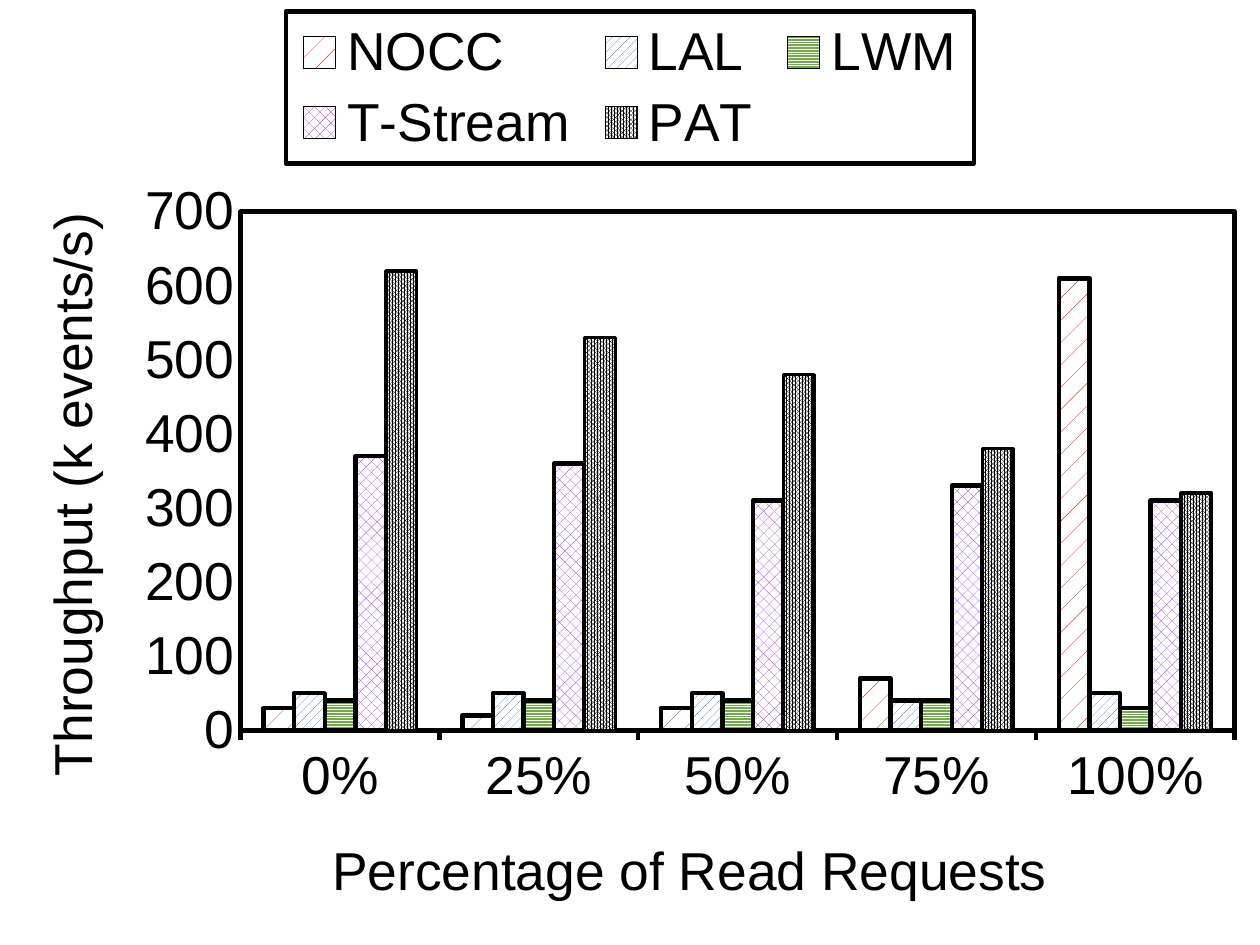
from lxml.etree import Element, SubElement
from pptx import Presentation
from pptx.chart.data import CategoryChartData
from pptx.dml.color import RGBColor
from pptx.enum.chart import XL_CHART_TYPE as ChartType
from pptx.enum.chart import XL_LEGEND_POSITION as LegendPosition
from pptx.enum.chart import XL_TICK_MARK as TickMark
from pptx.enum.dml import MSO_PATTERN_TYPE as Pattern
from pptx.oxml.ns import qn
from pptx.util import Cm, Pt

COLORS = {
    "ink": "000000", "paper": "FFFFFF", "red": "C90001",
    "blue": "4472C4", "green": "70AD47", "violet": "A345EE",
}
READ_SHARES = [0, 0.25, 0.5, 0.75, 1]
# name, throughput, pattern, pattern colour, outline width
SCHEMES = [
    ("NOCC", [30, 20, 30, 70, 610], Pattern.PERCENT_5, "red", 2),
    ("LAL", [50, 50, 50, 40, 50], Pattern.WIDE_UPWARD_DIAGONAL, "blue", 2),
    ("LWM", [40, 40, 40, 40, 30], Pattern.DARK_HORIZONTAL, "green", 2),
    ("T-Stream", [370, 360, 310, 330, 310], Pattern.PERCENT_50, "violet", 2),
    ("PAT", [620, 530, 480, 380, 320], Pattern.PERCENT_90, "ink", 1.5),
]


def color(name):
    return RGBColor.from_string(COLORS[name])


def set_all(target, values):
    for name, value in values.items():
        setattr(target, name, value)


class ChartSlide:
    """Holds the text style, the slide and its chart; positions are percent of the slide."""

    def __init__(self, deck):
        self.deck = deck
        self.slide = deck.slides.add_slide(deck.slide_layouts[6])
        self.text_style = {"name": "Arial", "size": Pt(24), "bold": False}

    def style_font(self, font):
        set_all(font, self.text_style)
        font.color.rgb = color("ink")

    def style_line(self, line, width=2):
        line.color.rgb = color("ink")
        line.width = Pt(width)

    def place(self, element, after, inner=False, **percents):
        """Give a chart part a manual layout, right after the named child (or first)."""
        for old in element.findall(qn("c:layout")):
            element.remove(old)
        layout = Element(qn("c:layout"))
        manual = SubElement(layout, qn("c:manualLayout"))
        settings = {"layoutTarget": "inner"} if inner else {}
        settings.update(xMode="edge", yMode="edge")
        settings.update({side: round(value / 100, 4) for side, value in percents.items()})
        for tag, value in settings.items():
            SubElement(manual, qn(f"c:{tag}")).set("val", str(value))
        if after:
            element.find(qn(after)).addnext(layout)
        else:
            element.insert(0, layout)

    def frame(self, element, before=None):
        """Draw a black border around a chart part."""
        properties = Element(qn("c:spPr"))
        SubElement(properties, qn("a:noFill"))
        line = SubElement(properties, qn("a:ln"), w=str(Pt(2)))
        fill = SubElement(line, qn("a:solidFill"))
        SubElement(fill, qn("a:srgbClr"), val=COLORS["ink"])
        if before:
            element.find(qn(before)).addprevious(properties)
        else:
            element.append(properties)

    def columns(self, categories, schemes):
        data = CategoryChartData(number_format="General")
        data.categories = categories
        data.categories.number_format = "0%"
        for name, values, *_ in schemes:
            data.add_series(name, values)
        self.chart = self.slide.shapes.add_chart(
            ChartType.COLUMN_CLUSTERED, 0, 0,
            self.deck.slide_width, self.deck.slide_height, data).chart
        self.chart.has_title = False
        self.style_font(self.chart.font)
        plot = self.chart.plots[0]
        set_all(plot, {"gap_width": 150, "overlap": 0, "vary_by_categories": False})
        for series, (_, _, pattern, hue, width) in zip(plot.series, schemes):
            fill = series.format.fill
            fill.patterned()
            fill.pattern = pattern
            fill.fore_color.rgb = color(hue)
            fill.back_color.rgb = color("paper")
            self.style_line(series.format.line, width)

    def plot_area(self, **percents):
        area = self.chart.plots[0]._element.getparent()
        self.place(area, None, inner=True, **percents)
        self.frame(area)

    def axis(self, axis, title, number_format, settings, **percents):
        set_all(axis, {"has_major_gridlines": False,
                       "minor_tick_mark": TickMark.NONE, **settings})
        set_all(axis.tick_labels, {"number_format": number_format,
                                   "number_format_is_linked": False})
        self.style_font(axis.tick_labels.font)
        heading = axis.axis_title.text_frame
        heading.text = title
        self.style_font(heading.paragraphs[0].runs[0].font)
        self.place(axis.axis_title._element, "c:tx", **percents)

    def legend(self, **percents):
        self.chart.has_legend = True
        legend = self.chart.legend
        set_all(legend, {"position": LegendPosition.TOP, "include_in_layout": False})
        self.style_font(legend.font)
        self.place(legend._element, "c:legendPos", **percents)
        self.frame(legend._element, before="c:txPr")


def main():
    deck = Presentation()
    deck.slide_width, deck.slide_height = Cm(20), Cm(15)
    page = ChartSlide(deck)
    page.columns(READ_SHARES, SCHEMES)
    page.plot_area(x=19.1, y=22.4, w=78.9, h=54.9)

    requests = page.chart.category_axis
    page.axis(requests, "Percentage of Read Requests", "0%",
              {"major_tick_mark": TickMark.OUTSIDE}, x=25.6, y=87.4)
    page.style_line(requests.format.line)

    throughput = page.chart.value_axis
    page.axis(throughput, "Throughput (k events/s)", "General",
              {"major_tick_mark": TickMark.NONE, "minimum_scale": 0,
               "maximum_scale": 700, "major_unit": 100}, x=2.2, y=21.5)
    throughput.format.line.fill.background()

    page.legend(x=22.7, y=1.2, w=54.6, h=16.1)
    deck.save("out.pptx")


if __name__ == "__main__":
    main()
